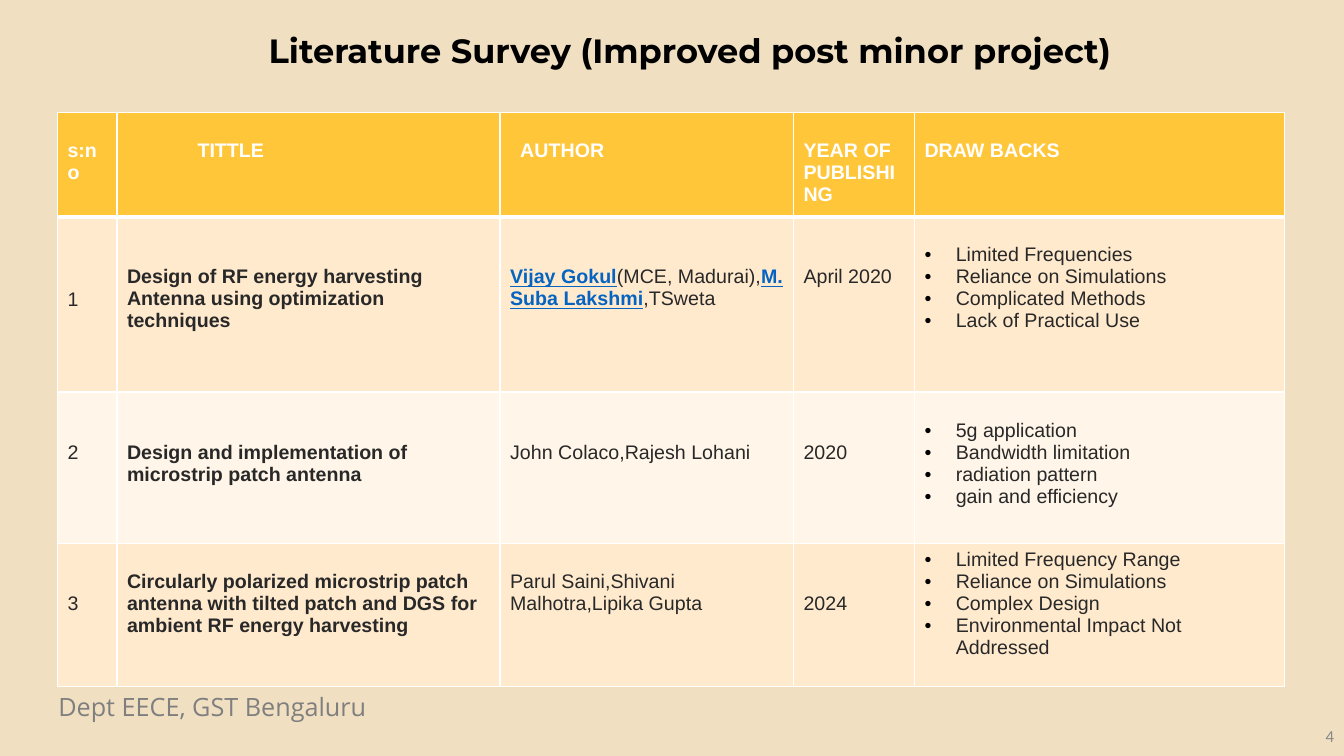
from pptx import Presentation
from pptx.dml.color import RGBColor
from pptx.enum import text as t
from pptx.oxml import parse_xml
from pptx.oxml import ns
from pptx.util import Inches, Pt

COLORS = {
    "background": "F0E0C1", "header": "FFC639", "odd": "FFEACE", "even": "FFF5E8",
    "white": "FFFFFF", "black": "000000", "body": "282828", "author": "0563C1",
    "footer": "7F7F7F", "number": "888888",
}
LINE_HEIGHT = 0.22
COLUMN_WIDTHS = [0.59, 3.8, 2.91, 1.2, 3.67]
ROW_HEIGHTS = [1.03, 1.74, 1.5, 1.42]
HEADERS = ["s:no", "TITTLE", "AUTHOR", "YEAR OF PUBLISHING", "DRAW BACKS"]
HEADER_INDENTS = [0, 0.7, 0.1, 0, 0]
PAPERS = [
    ["1", "Design of RF energy harvesting Antenna using optimization techniques",
     [("Vijay Gokul", True), ("(MCE, Madurai),", False),
      ("M. Suba Lakshmi", True), (",TSweta", False)],
     "April 2020",
     ["Limited Frequencies", "Reliance on Simulations", "Complicated Methods",
      "Lack of Practical Use"]],
    ["2", "Design and implementation of microstrip patch antenna",
     [("John Colaco,Rajesh Lohani", False)], "2020",
     ["5g application", "Bandwidth limitation", "radiation pattern",
      "gain and efficiency"]],
    ["3", "Circularly polarized microstrip patch antenna with tilted patch and DGS "
     "for ambient RF energy harvesting",
     [("Parul Saini,Shivani Malhotra,Lipika Gupta", False)], "2024",
     ["Limited Frequency Range", "Reliance on Simulations", "Complex Design",
      "Environmental Impact Not Addressed"]],
]
LINES_ABOVE = [[3, 2, 2, 2, 1], [2, 2, 2, 2, 1], [2, 1, 1, 2, 0]]


def color(name):
    """Return the named palette colour."""
    return RGBColor.from_string(COLORS[name])


def add_text(paragraph, text, size=14, font="Arial", fill="body", bold=False,
             underline=False):
    """Append a formatted run to a paragraph."""
    run = paragraph.add_run()
    run.text = text
    run.font.size = Pt(size)
    run.font.name = font
    run.font.bold = bold
    run.font.underline = underline
    run.font.color.rgb = color(fill)
    return run


def add_bullet(paragraph):
    """Give a paragraph a hanging black bullet."""
    properties = paragraph._p.get_or_add_pPr()
    properties.set("marL", str(Inches(0.31)))
    properties.set("indent", str(-Inches(0.31)))
    for element in (
        f'<a:buClr {ns.nsdecls("a")}><a:srgbClr val="{COLORS["black"]}"/></a:buClr>',
        f'<a:buFont {ns.nsdecls("a")} typeface="Arial"/>',
        f'<a:buChar {ns.nsdecls("a")} char="•"/>',
    ):
        properties.append(parse_xml(element))


def style_cell(cell, fill, lines_above, indent=0, top=1, bottom=1):
    """Set the margins, white borders and fill of a cell."""
    cell.margin_top = Inches(0.05 + lines_above * LINE_HEIGHT)
    cell.margin_left = Inches(0.1 + indent)
    properties = cell._tc.get_or_add_tcPr()
    for side, width in (("L", 1), ("R", 1), ("T", top), ("B", bottom)):
        properties.append(parse_xml(
            f'<a:ln{side} {ns.nsdecls("a")} w="{Pt(width)}"><a:solidFill>'
            f'<a:srgbClr val="{COLORS["white"]}"/></a:solidFill></a:ln{side}>'))
    cell.fill.solid()
    cell.fill.fore_color.rgb = color(fill)


def fill_paper(cells, paper):
    """Write one paper into the cells of its row."""
    number, title, authors, year, drawbacks = paper
    first = [cell.text_frame.paragraphs[0] for cell in cells]
    add_text(first[0], number)
    add_text(first[1], title, bold=True)
    for name, marked in authors:
        add_text(first[2], name, fill="author" if marked else "body",
                 bold=marked, underline=marked)
    add_text(first[3], year)
    for index, drawback in enumerate(drawbacks):
        paragraph = first[4] if index == 0 else cells[4].text_frame.add_paragraph()
        add_bullet(paragraph)
        add_text(paragraph, drawback)


def add_survey(slide, left, top, width, height):
    """Add the table of surveyed papers."""
    table = slide.shapes.add_table(
        len(ROW_HEIGHTS), len(COLUMN_WIDTHS), Inches(left), Inches(top),
        Inches(width), Inches(height)).table
    table.horz_banding = False
    for column, column_width in zip(table.columns, COLUMN_WIDTHS):
        column.width = Inches(column_width)
    for row, row_height in zip(table.rows, ROW_HEIGHTS):
        row.height = Inches(row_height)
    for cell, header, indent in zip(table.rows[0].cells, HEADERS, HEADER_INDENTS):
        style_cell(cell, "header", 1, indent, bottom=3)
        add_text(cell.text_frame.paragraphs[0], header, fill="white", bold=True)
    for index, (paper, lines) in enumerate(zip(PAPERS, LINES_ABOVE), start=1):
        cells = list(table.rows[index].cells)
        for cell, lines_above in zip(cells, lines):
            style_cell(cell, "odd" if index % 2 else "even", lines_above,
                       top=3 if index == 1 else 1)
        fill_paper(cells, paper)


def add_title(slide, left, top, width, height):
    """Place and write the slide title."""
    title = slide.shapes.title
    title.left, title.top = Inches(left), Inches(top)
    title.width, title.height = Inches(width), Inches(height)
    frame = title.text_frame
    frame.auto_size = t.MSO_AUTO_SIZE.NONE
    frame.vertical_anchor = t.MSO_ANCHOR.TOP
    paragraph = frame.paragraphs[0]
    paragraph.alignment = t.PP_ALIGN.CENTER
    add_text(paragraph, "Literature Survey (Improved post minor project)",
             size=24, font="Montserrat", fill="black", bold=True)


def add_box(slide, left, top, width, height):
    """Add a wrapping text box and return its text frame."""
    frame = slide.shapes.add_textbox(
        Inches(left), Inches(top), Inches(width), Inches(height)).text_frame
    frame.word_wrap = True
    return frame


def add_footer(slide, left, top, width, height):
    """Add the department line."""
    frame = add_box(slide, left, top, width, height)
    add_text(frame.paragraphs[0], "Dept EECE, GST Bengaluru", size=18,
             font="Open Sans", fill="footer")


def add_page_number(slide, left, top, width, height):
    """Add the page number at the right."""
    frame = add_box(slide, left, top, width, height)
    frame.vertical_anchor = t.MSO_ANCHOR.MIDDLE
    paragraph = frame.paragraphs[0]
    paragraph.alignment = t.PP_ALIGN.RIGHT
    add_text(paragraph, "4", size=12, font="Calibri", fill="number")


def main():
    """Build and save the presentation."""
    presentation = Presentation()
    presentation.slide_width = Inches(13.33)
    presentation.slide_height = Inches(7.5)
    slide = presentation.slides.add_slide(presentation.slide_layouts[5])
    slide.background.fill.solid()
    slide.background.fill.fore_color.rgb = color("background")
    add_footer(slide, 0.48, 6.81, 5.24, 0.4)
    add_page_number(slide, 10.33, 7.1, 3, 0.4)
    add_title(slide, 1.09, 0.25, 11.5, 0.54)
    add_survey(slide, 0.57, 1.12, 12.17, 5.69)
    presentation.save("out.pptx")


if __name__ == "__main__":
    main()
